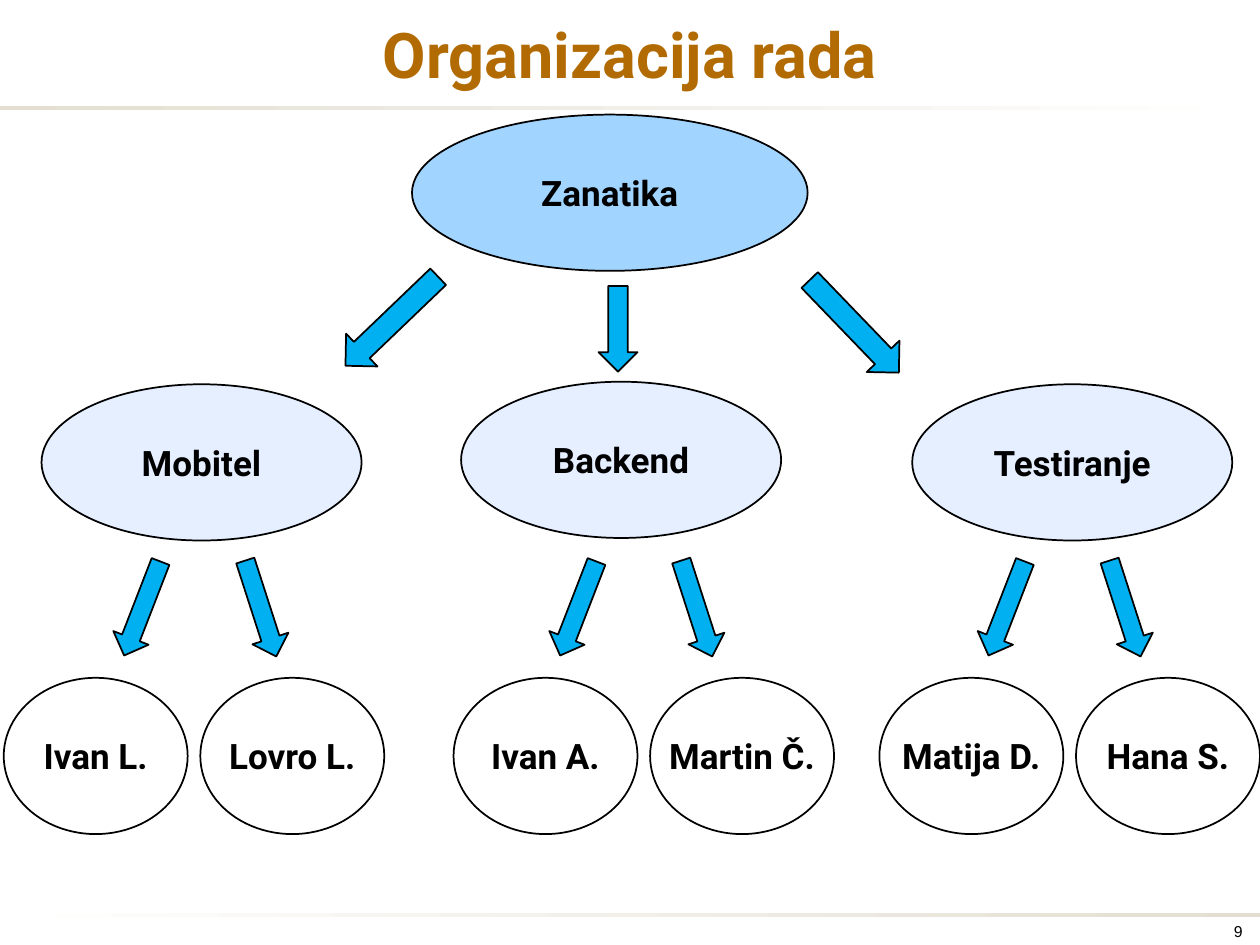
from dataclasses import dataclass

from pptx import Presentation
from pptx.dml.color import RGBColor
from pptx.enum.shapes import MSO_SHAPE as Kind
from pptx.enum.text import MSO_ANCHOR as Anchor, PP_ALIGN as Align
from pptx.shapes.autoshape import Shape
from pptx.util import Inches, Pt

BLACK = RGBColor(0x00, 0x00, 0x00)
WHITE = RGBColor(0xFF, 0xFF, 0xFF)
SAND = RGBColor(0xE3, 0xDE, 0xD1)
BROWN = RGBColor(0xB2, 0x6B, 0x02)
SKY = RGBColor(0xA1, 0xD5, 0xFF)
PALE = RGBColor(0xE5, 0xEF, 0xFF)
BLUE = RGBColor(0x00, 0xB0, 0xF0)

TITLE = {"name": "Roboto", "size": Pt(36), "bold": True}
LABEL = {"name": "Roboto", "size": Pt(20), "bold": True}
SMALL = {"name": "Arial", "size": Pt(9), "bold": False}


@dataclass
class Box:
    left: float
    top: float
    width: float
    height: float

    def emu(self) -> list[Inches]:
        return [Inches(v) for v in (self.left, self.top, self.width, self.height)]


@dataclass
class Team:
    name: str
    left: float
    top: float
    arrow: float  # left edge of the first arrow
    first: float  # left edge of the first member
    people: tuple[str, str]


TEAMS = [
    Team("Mobitel", 0.33, 3.05, 0.98, 0.03, ("Ivan L.", "Lovro L.")),
    Team("Backend", 3.66, 3.03, 4.44, 3.6, ("Ivan A.", "Martin Č.")),
    Team("Testiranje", 7.24, 3.05, 7.84, 6.98, ("Matija D.", "Hana S.")),
]
TILTS = (21.2, 342.1)
HIGH = 1.24  # height of every ellipse
STEP = 1.56  # from one member to the next
GAP = 0.94  # from one small arrow to the next


def write(shape: Shape, text: str, font: dict, color: RGBColor,
          align: Align = Align.CENTER, wrap: bool = True) -> None:
    frame = shape.text_frame
    frame.word_wrap = wrap
    frame.vertical_anchor = Anchor.MIDDLE
    para = frame.paragraphs[0]
    para.alignment = align
    run = para.add_run()
    run.text = text
    for key, value in font.items():
        setattr(run.font, key, value)
    run.font.color.rgb = color


def draw(kind: Kind, box: Box, fill: RGBColor, tilt: float = 0) -> Shape:
    shape = slide.shapes.add_shape(kind, *box.emu())
    shape.shadow.inherit = False
    shape.fill.solid()
    shape.fill.fore_color.rgb = fill
    shape.line.color.rgb = BLACK
    shape.line.width = Pt(1)
    shape.rotation = tilt
    return shape


def oval(text: str, box: Box, fill: RGBColor) -> None:
    write(draw(Kind.OVAL, box, fill), text, LABEL, BLACK, wrap=False)


def arrow(box: Box, tilt: float = 0) -> None:
    draw(Kind.DOWN_ARROW, box, BLUE, tilt)


def rule(box: Box, start: RGBColor, end: RGBColor) -> None:
    bar = slide.shapes.add_shape(Kind.RECTANGLE, *box.emu())
    bar.shadow.inherit = False
    bar.line.fill.background()
    bar.fill.gradient()
    bar.fill.gradient_angle = 0
    for stop, color in zip(bar.fill.gradient_stops, (start, end)):
        stop.color.rgb = color


def label(text: str, box: Box, font: dict, color: RGBColor, align: Align) -> None:
    area = slide.shapes.add_textbox(*box.emu())
    write(area, text, font, color, align)


deck = Presentation()
deck.slide_width, deck.slide_height = Inches(10), Inches(7.5)
slide = deck.slides.add_slide(deck.slide_layouts[6])

# Frame: rules, title, page number
rule(Box(0, 0.84, 10, 0.03), SAND, WHITE)
rule(Box(0.01, 7.25, 10, 0.03), WHITE, SAND)
label("Organizacija rada", Box(0, 0, 10, 0.84), TITLE, BROWN, Align.CENTER)
label("9", Box(8.78, 7.28, 1.18, 0.22), SMALL, BLACK, Align.RIGHT)

# Project and its arrows
oval("Zanatika", Box(3.27, 0.91, 3.14, HIGH), SKY)
arrow(Box(2.93, 2.04, 0.36, 1.02), 46.2)
arrow(Box(4.75, 2.27, 0.31, 0.68))
arrow(Box(6.6, 2.08, 0.36, 1.02), 316.1)

# Teams with their members
for team in TEAMS:
    oval(team.name, Box(team.left, team.top, 2.54, HIGH), PALE)
    for i, (person, tilt) in enumerate(zip(team.people, TILTS)):
        arrow(Box(team.arrow + i * GAP, 4.43, 0.3, 0.8), tilt)
        oval(person, Box(team.first + i * STEP, 5.38, 1.46, HIGH), WHITE)

deck.save("out.pptx")
